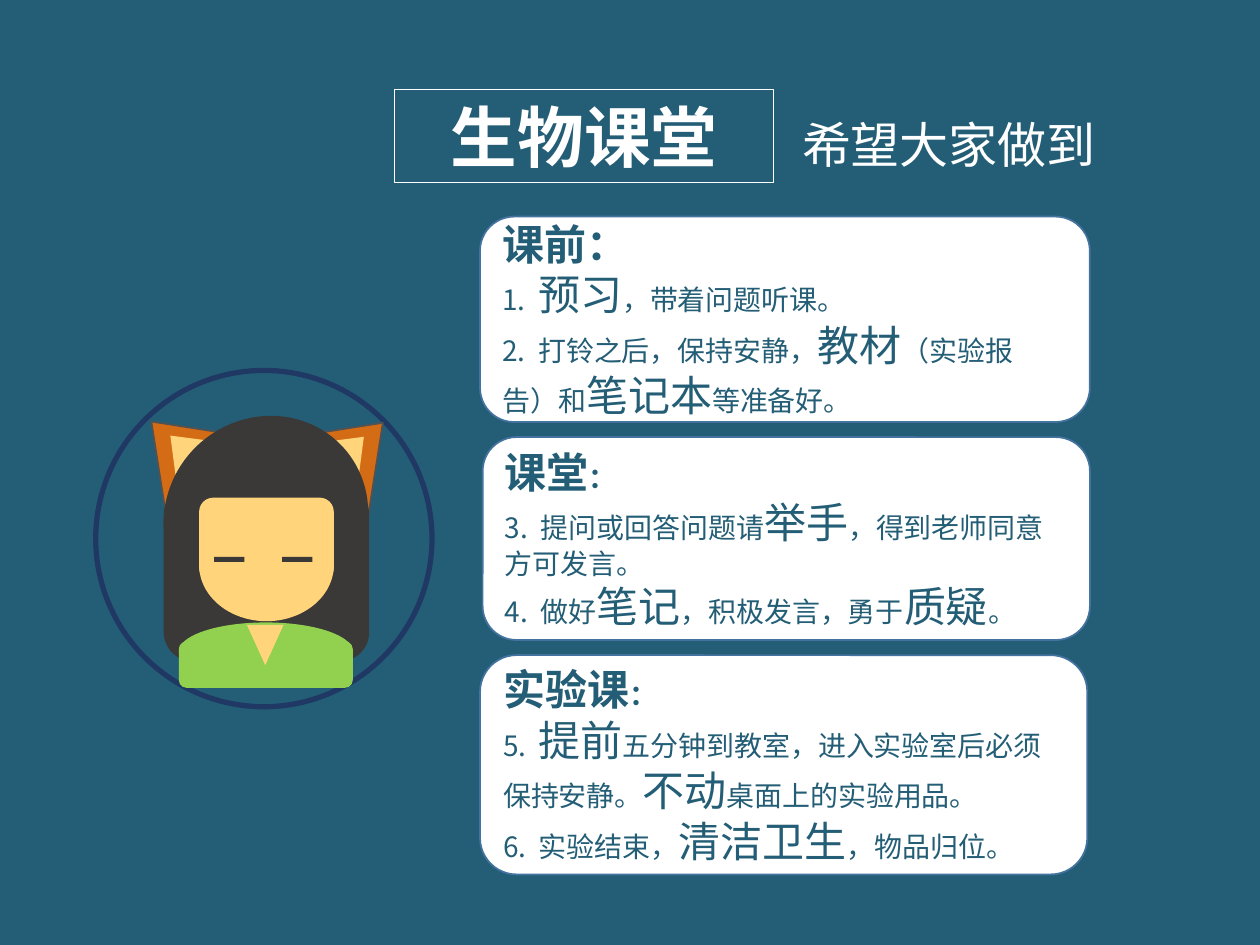
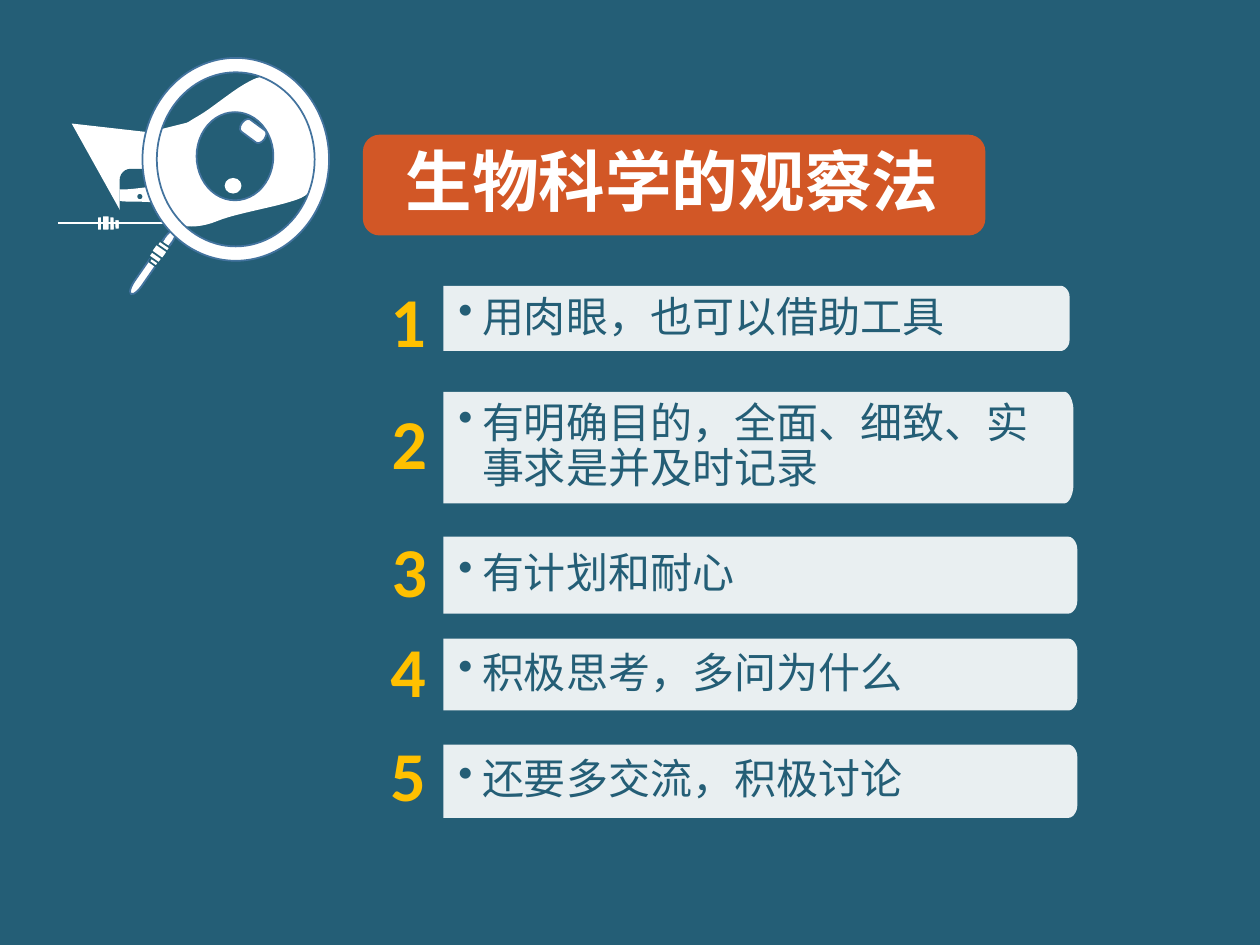
from typing import NamedTuple

from lxml import etree
from pptx import Presentation
from pptx.dml.color import RGBColor
from pptx.enum.shapes import MSO_CONNECTOR, MSO_SHAPE
from pptx.enum.text import MSO_ANCHOR, PP_ALIGN
from pptx.oxml.ns import qn
from pptx.util import Pt

RECT, ROUND, OVAL = MSO_SHAPE.RECTANGLE, MSO_SHAPE.ROUNDED_RECTANGLE, MSO_SHAPE.OVAL
TRIANGLE, PIE, DONUT = MSO_SHAPE.ISOSCELES_TRIANGLE, MSO_SHAPE.PIE, MSO_SHAPE.DONUT
SOFT, DOT = MSO_SHAPE.FLOWCHART_ALTERNATE_PROCESS, MSO_SHAPE.FLOWCHART_CONNECTOR
DISK, PILL = MSO_SHAPE.FLOWCHART_MAGNETIC_DISK, MSO_SHAPE.FLOWCHART_TERMINATOR
STRAIGHT = MSO_CONNECTOR.STRAIGHT
TOP, MIDDLE = MSO_ANCHOR.TOP, MSO_ANCHOR.MIDDLE
LEFT, CENTER = PP_ALIGN.LEFT, PP_ALIGN.CENTER

TEAL, WHITE, BLUE, NAVY = "245E76", "FFFFFF", "43739E", "203864"
ORANGE, FOX, SKIN, HAIR = "E6571E", "D46C16", "FFD47B", "3B3838"
GREEN, GOLD, GREY = "92D050", "FFC000", "525252"
CJK, LATIN = "Noto Sans CJK SC", "Calibri"
DEFAULT_INSETS = (7.2, 3.6, 7.2, 3.6)
LIST_INSETS = (8.6, 2.2, 2.2, 2.2)
NUMBER_INSETS = (0.7, 16.6, 0.7, 16.6)


class Span(NamedTuple):
    text: str
    size: float
    color: str = TEAL
    bold: bool = False
    font: str = CJK
    tracking: float = 0


class Part(NamedTuple):
    kind: int
    left: float
    top: float
    width: float
    height: float
    fill: str | None
    line: str | None = None
    weight: float = 1
    angle: float = 0


class Rules(NamedTuple):
    """A card of class rules; *stars* enclose the enlarged words."""
    left: float
    top: float
    width: float
    height: float
    heading: str
    colon_size: float
    items: tuple[str, ...]
    first: int


class Step(NamedTuple):
    number_left: float
    number_top: float
    top: float
    width: float
    height: float
    text: str


def rgb(value: str) -> RGBColor:
    return RGBColor.from_string(value)


def paint(shape, fill: str | None, line: str | None = None, weight: float = 1,
          opacity: int = 100) -> None:
    shape.shadow.inherit = False
    if fill:
        shape.fill.solid()
        shape.fill.fore_color.rgb = rgb(fill)
        if opacity < 100:
            color = shape.fill._xPr.find(qn("a:solidFill"))[0]
            etree.SubElement(color, qn("a:alpha"), val=str(opacity * 1000))
    else:
        shape.fill.background()
    if line:
        shape.line.color.rgb = rgb(line)
        shape.line.width = Pt(weight)
    else:
        shape.line.fill.background()


def draw(page, part: Part, opacity: int = 100):
    frame = map(Pt, part[1:5])
    shape = page.shapes.add_shape(part.kind, *frame)
    paint(shape, part.fill, part.line, part.weight, opacity)
    shape.rotation = part.angle
    return shape


def outline(page, start: tuple, segments: list[tuple], fill: str, opacity: int = 100):
    """Closed shape; a segment is a line end or three points of a curve."""
    points = [start]
    for segment in segments:
        if len(segment) == 2:
            points.append(segment)
            continue
        ends = points[-1] + segment
        for step in range(1, 13):
            t = step / 12
            weights = ((1 - t) ** 3, 3 * t * (1 - t) ** 2, 3 * t * t * (1 - t), t ** 3)
            points.append(tuple(sum(w * v for w, v in zip(weights, ends[axis::2]))
                                for axis in (0, 1)))
    corners = [(Pt(x), Pt(y)) for x, y in points]
    builder = page.shapes.build_freeform(*corners[0], scale=1.0)
    builder.add_line_segments(corners[1:], close=True)
    shape = builder.convert_to_shape()
    paint(shape, fill, opacity=opacity)
    return shape


def write(shape, lines: list[list[Span]], align=CENTER, anchor=MIDDLE,
          insets: tuple = DEFAULT_INSETS, spacing: float | None = None,
          bullet: bool = False) -> None:
    frame = shape.text_frame
    frame.word_wrap, frame.vertical_anchor = True, anchor
    frame.margin_left, frame.margin_top, frame.margin_right, frame.margin_bottom = map(Pt, insets)
    for index, spans in enumerate(lines):
        para = frame.add_paragraph() if index else frame.paragraphs[0]
        para.alignment = align
        if spacing:
            para.line_spacing = spacing
        if bullet:
            props = para._p.get_or_add_pPr()
            props.set("marL", str(Pt(13.5)))
            props.set("indent", str(-Pt(13.5)))
            etree.SubElement(props, qn("a:buChar"), char="•")
        for span in spans:
            run = para.add_run()
            run.text = span.text
            run.font.size, run.font.bold = Pt(span.size), span.bold
            run.font.name, run.font.color.rgb = span.font, rgb(span.color)
            props = run._r.get_or_add_rPr()
            etree.SubElement(props, qn("a:ea"), typeface=span.font)
            if span.tracking:
                props.set("spc", str(round(span.tracking * 100)))


def add_page(deck):
    page = deck.slides.add_slide(deck.slide_layouts[6])
    page.background.fill.solid()
    page.background.fill.fore_color.rgb = rgb(TEAL)
    return page


def add_rules(page, card: Rules) -> None:
    box = draw(page, Part(ROUND, *card[:4], WHITE, BLUE))
    lines = [[Span(card.heading, 24, bold=True), Span("：", card.colon_size, bold=True)]]
    for number, item in enumerate(card.items, card.first):
        spans = [Span(f"{number}.", 16), Span(" ", 16, tracking=3.6)]
        for index, text in enumerate(item.split("*")):
            if text:
                spans.append(Span(text, 24 if index % 2 else 16))
        lines.append(spans)
    write(box, lines, LEFT)


def add_step(page, number: int, step: Step) -> None:
    # Chevron carrying the number
    x, y = step.number_left, step.number_top
    chevron = outline(page, (x + 31.5, y), [
        (x + 31.5, y + 29), (x + 15.75, y + 44.5), (x, y + 29),
        (x, y), (x + 15.75, y + 15.5)], TEAL)
    write(chevron, [[Span(str(number), 40, GOLD, True, LATIN)]],
          insets=NUMBER_INSETS, spacing=0.9)
    # Bar rounded on the right
    left, top = 253.4, step.top
    right, bottom = left + step.width, top + step.height
    rx, ry = 5, step.height * 0.16
    bar = outline(page, (left, top), [
        (right - rx, top),
        (right - rx / 2, top, right, top + ry / 2, right, top + ry),
        (right, bottom - ry),
        (right, bottom - ry / 2, right - rx / 2, bottom, right - rx, bottom),
        (left, bottom)], WHITE, 90)
    write(bar, [[Span(step.text, 24)]], LEFT, insets=LIST_INSETS, spacing=0.9, bullet=True)


RULES = [
    Rules(274.3, 123.8, 348.5, 117.4, "课前", 24,
          ("*预习*，带着问题听课。",
           "打铃之后，保持安静，*教材*（实验报告）和*笔记本*等准备好。"), 1),
    Rules(275.8, 249.8, 347, 115.9, "课堂", 16,
          ("提问或回答问题请*举手*，得到老师同意方可发言。",
           "做好*笔记*，积极发言，勇于*质疑*。"), 3),
    Rules(274.3, 374.4, 347, 125.3, "实验课", 16,
          ("*提前*五分钟到教室，进入实验室后必须保持安静。*不动*桌面上的实验用品。",
           "实验结束，*清洁卫生*，物品归位。"), 5),
]

STUDENT = [
    Part(OVAL, 54.7, 211.7, 192.2, 192.2, TEAL, NAVY, 3),
    # Ears
    Part(TRIANGLE, 172.8, 235.4, 61.9, 42.5, FOX, GREY, 1, 45),
    Part(TRIANGLE, 176.4, 245.5, 43.2, 28.1, SKIN, angle=45),
    Part(TRIANGLE, 70.6, 234.7, 61.9, 42.5, FOX, GREY, 1, 315),
    Part(TRIANGLE, 85.7, 244.8, 43.2, 28.1, SKIN, angle=315),
    # Hair and face
    Part(PIE, 92.2, 239, 119.5, 113.8, HAIR, angle=136.9),
    Part(ROUND, 93.6, 277.2, 117.4, 100.8, HAIR),
    Part(SOFT, 113.8, 284.4, 77, 48.2, SKIN),
    Part(OVAL, 113.8, 290.9, 77, 64.1, SKIN),
    Part(RECT, 122.4, 318.2, 17.3, 2.9, HAIR),
    Part(RECT, 161.3, 318.2, 17.3, 2.9, HAIR),
    # Shirt and collar
    Part(OVAL, 102.2, 355.7, 99.4, 33.1, GREEN),
    Part(SOFT, 102.2, 366.5, 99.4, 26.6, GREEN),
    Part(TRIANGLE, 141.1, 357.1, 20.9, 23, SKIN, angle=180),
]

FISH_HOLES = [
    Part(DOT, 78.5, 110.9, 2.9, 2.9, TEAL),
    Part(DOT, 90.7, 110.2, 2.9, 3.6, TEAL),
]
HANDLES = [
    Part(SOFT, 64.8, 125.3, 3.6, 5.8, WHITE, TEAL),
    Part(SOFT, 55.4, 123.8, 3.6, 7.9, WHITE, TEAL),
    Part(SOFT, 61.9, 123.8, 3.6, 7.9, WHITE, TEAL),
    Part(SOFT, 58.3, 123.1, 4.3, 8.6, WHITE, TEAL),
    Part(DISK, 85, 127.4, 5, 44.6, WHITE, BLUE, 1, 34.8),
    Part(SOFT, 86.4, 146.9, 3.6, 5, WHITE, TEAL, 1, 304.8),
    Part(SOFT, 91.4, 137.5, 3.6, 7.2, WHITE, TEAL, 1, 304.8),
    Part(SOFT, 87.1, 143.3, 3.6, 7.2, WHITE, TEAL, 1, 304.8),
    Part(SOFT, 88.6, 139.7, 5, 7.9, WHITE, TEAL, 1, 304.8),
]
EYE = [
    Part(OVAL, 112.3, 64.1, 43.9, 50.4, TEAL, BLUE),
    Part(PILL, 136.8, 70.6, 15.8, 8.6, WHITE, BLUE, 1, 36.4),
    Part(DOT, 128.9, 102.2, 8.6, 7.9, WHITE, WHITE),
]

STEPS = [
    Step(217.4, 163.4, 163.4, 357.8, 37.2, "用肉眼，也可以借助工具"),
    Step(218.2, 233.3, 223.9, 360, 63.7, "有明确目的，全面、细致、实 事求是并及时记录"),
    Step(218.2, 306, 306.7, 362.2, 43.9, "有计划和耐心"),
    Step(217.4, 363.6, 365, 362.2, 41, "积极思考，多问为什么"),
    Step(217.4, 422.6, 425.5, 362.2, 41.8, "还要多交流，积极讨论"),
]


def build_classroom(deck) -> None:
    page = add_page(deck)
    title = draw(page, Part(RECT, 225.4, 51.1, 216.7, 53.3, None, WHITE, 0.75))
    write(title, [[Span("生物课堂", 38, WHITE, True)]], anchor=TOP)
    wish = page.shapes.add_textbox(Pt(442.1), Pt(61.9), Pt(200.2), Pt(41))
    write(wish, [[Span("希望大家做到", 28, WHITE)]], anchor=TOP)
    for card in RULES:
        add_rules(page, card)
    for part in STUDENT:
        draw(page, part)


def build_observation(deck) -> None:
    page = add_page(deck)
    banner = draw(page, Part(ROUND, 207.4, 77, 355.7, 57.6, ORANGE), 90)
    write(banner, [[Span("生物科学的观察法 ", 38, WHITE, True)]],
          insets=LIST_INSETS, spacing=0.9)
    # Head and mouth seen beside the lens
    outline(page, (69.1, 121), [(41, 70.6), (85, 75.6), (122.4, 66.2), (105.8, 118.8)], WHITE)
    draw(page, Part(ROUND, 68.4, 96.5, 38.2, 40.3, TEAL))
    outline(page, (68.4, 108), [
        (68.4, 108.7, 75.6, 108, 81.4, 107.3), (87.8, 106.6, 101.5, 103, 105.8, 104.4),
        (105.8, 115.2), (105.8, 114.5, 102.2, 115.9, 97.2, 115.9),
        (92.2, 115.9, 82.1, 115.2, 77.8, 115.2), (72, 115.2, 68.4, 115.2, 68.4, 114.5)], WHITE)
    for part in FISH_HOLES + HANDLES[:4]:
        draw(page, part)
    rod = page.shapes.add_connector(STRAIGHT, Pt(33.1), Pt(127.4), Pt(103.7), Pt(127.4))
    rod.line.color.rgb, rod.line.width = rgb(WHITE), Pt(1.25)
    etree.SubElement(rod._element.spPr, qn("a:effectLst"))
    for part in HANDLES[4:]:
        draw(page, part)
    # Eye under the magnifying lens
    eye = outline(page, (86.4, 72.7), [
        (87.1, 77, 105.1, 67, 117.4, 62.6), (128.9, 58.3, 148.3, 45.4, 158.4, 46.8),
        (167.8, 48.2, 177.1, 59, 180.7, 70.6), (184.3, 81.4, 185.8, 97.9, 185, 105.8),
        (183.6, 100.8, 177.8, 115.9, 167, 118.8), (155.5, 121.7, 128.9, 121, 117.4, 123.8),
        (104.4, 126.7, 92.9, 123.1, 92.2, 118.1), (85.7, 100.1, 89.3, 87.8, 86.4, 72.7)], WHITE)
    eye.rotation = 350.3
    for part in EYE:
        draw(page, part)
    lens = draw(page, Part(DONUT, 81.4, 33.1, 106.6, 115.9, WHITE, BLUE))
    lens.adjustments[0] = 0.077
    for number, step in enumerate(STEPS, 1):
        add_step(page, number, step)


def main() -> None:
    deck = Presentation()
    deck.slide_width, deck.slide_height = Pt(720), Pt(540)
    build_classroom(deck)
    build_observation(deck)
    deck.save("out.pptx")


if __name__ == "__main__":
    main()
